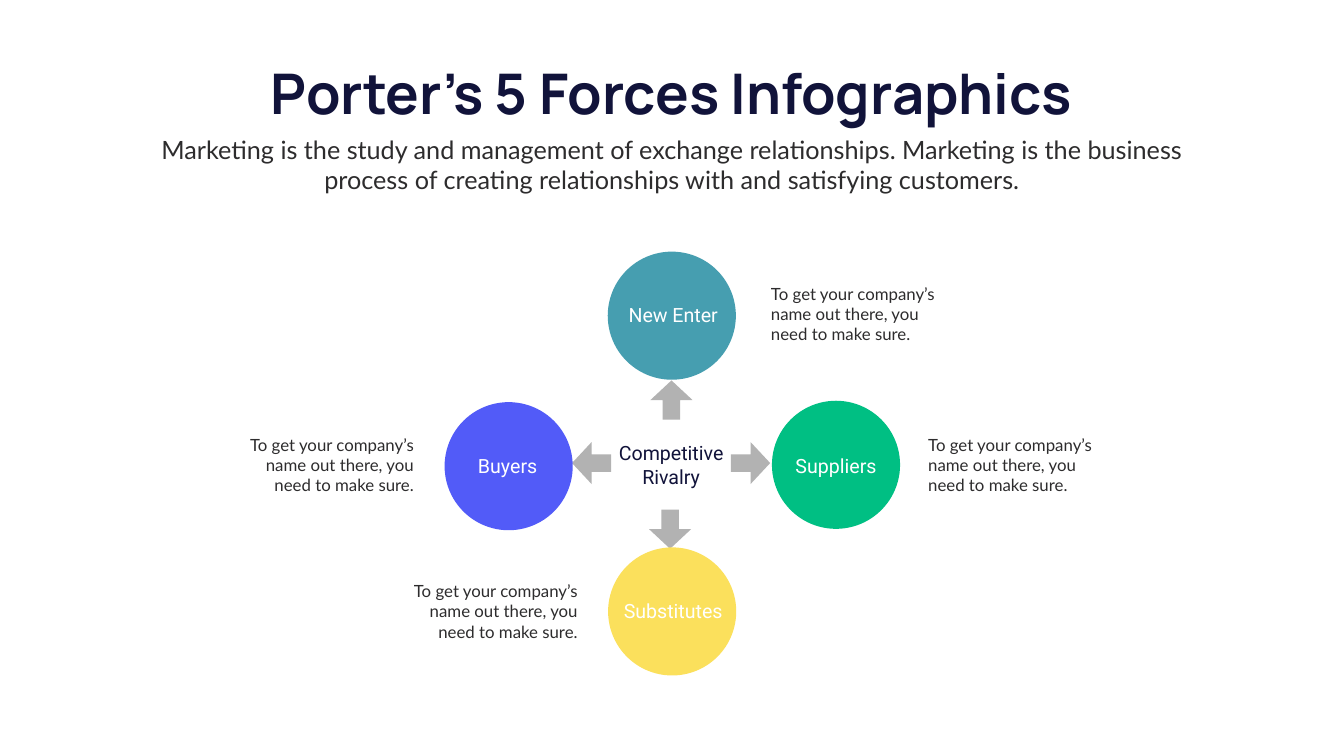
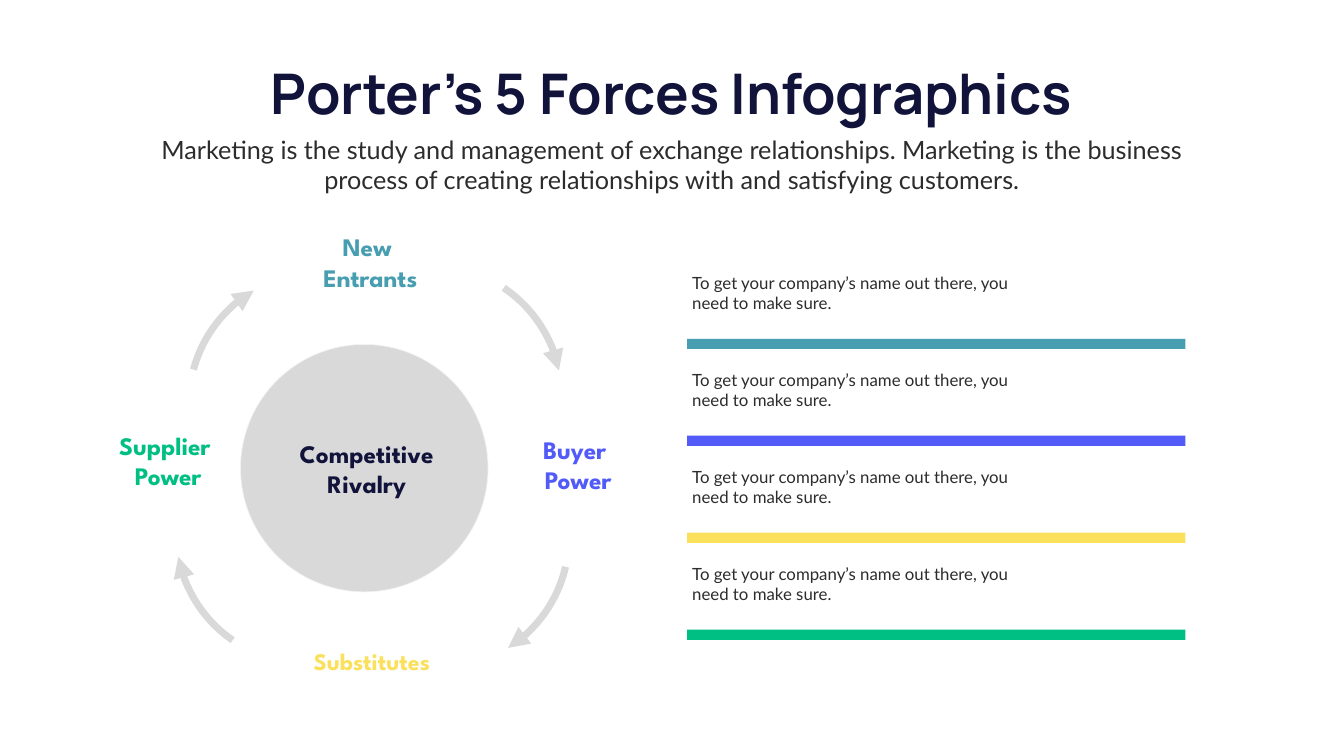
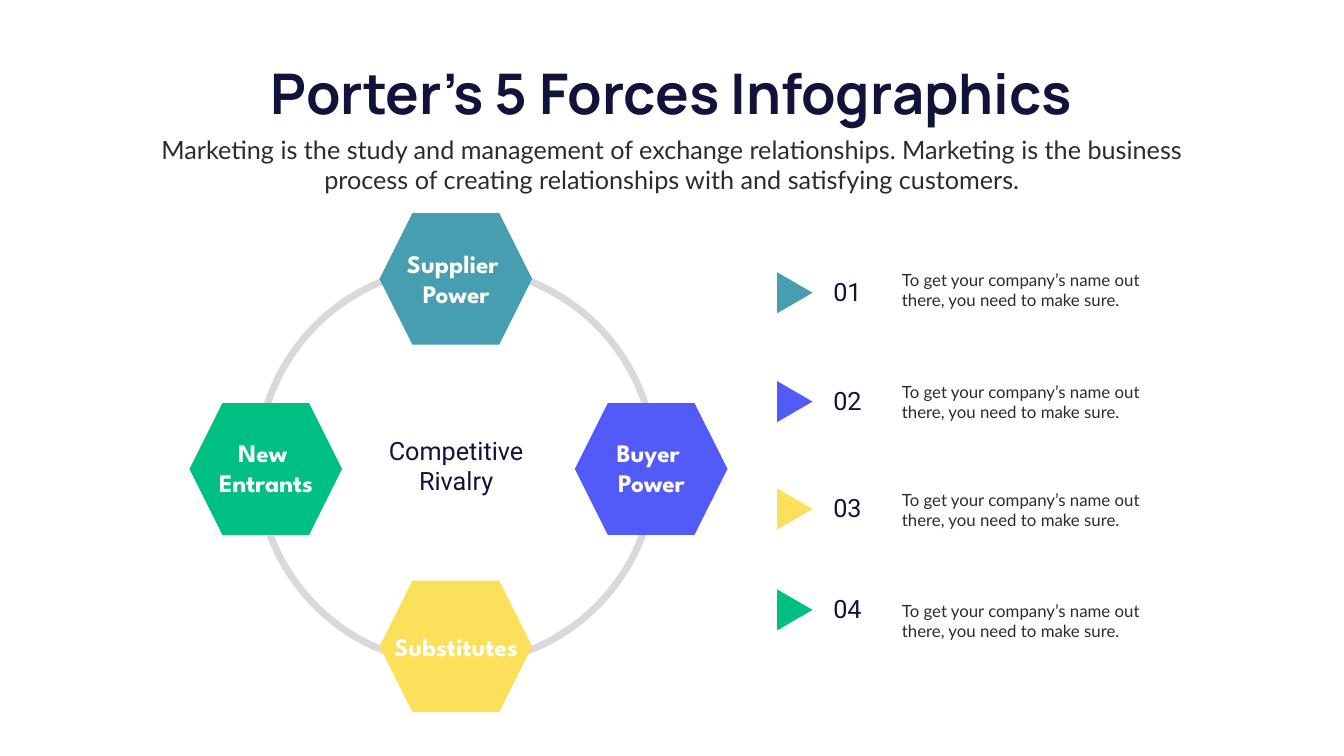
from pptx import Presentation
from pptx.dml.color import RGBColor
from pptx.enum import shapes, text
from pptx.oxml import ns, parse_xml
from pptx.util import Pt

NAVY = RGBColor(0x11, 0x13, 0x3A)
INK = RGBColor(0x2D, 0x2C, 0x2D)
WHITE = RGBColor(0xFF, 0xFF, 0xFF)
TEAL = RGBColor(0x46, 0x9E, 0xB0)
BLUE = RGBColor(0x52, 0x5B, 0xF8)
YELLOW = RGBColor(0xFB, 0xE0, 0x5C)
GREEN = RGBColor(0x00, 0xBF, 0x83)
GREY = RGBColor(0xB2, 0xB2, 0xB2)
SILVER = RGBColor(0xD9, 0xD9, 0xD9)
PALE = RGBColor(0xF2, 0xF2, 0xF2)
HUES = [TEAL, BLUE, YELLOW, GREEN]

LATO, SPARTAN, ROBOTO = "Lato", "League Spartan", "Roboto"
KIND = shapes.MSO_SHAPE
LEFT, MID, RIGHT = text.PP_ALIGN.LEFT, text.PP_ALIGN.CENTER, text.PP_ALIGN.RIGHT
TITLE = "Porter's 5 Forces Infographics"
INTRO = ("Marketing is the study and management of exchange relationships. "
         "Marketing is the business process of creating relationships with "
         "and satisfying customers.")
NOTE = "To get your company’s name out there, you need to make sure."


def write(slide, words, box, font, size, hue, align=MID, bold=False, wrap=True):
    frame = slide.shapes.add_textbox(*map(Pt, box)).text_frame
    frame.word_wrap = wrap
    frame.auto_size = text.MSO_AUTO_SIZE.SHAPE_TO_FIT_TEXT
    frame.text = words
    for para in frame.paragraphs:
        para.alignment = align
        for run in para.runs:
            run.font.name = font
            run.font.size = Pt(size)
            run.font.bold = bold
            run.font.color.rgb = hue


def draw(slide, kind, box, fill=None, line=None, width=1):
    shape = slide.shapes.add_shape(kind, *map(Pt, box))
    shape.shadow.inherit = False
    if fill is None:
        shape.fill.background()
    else:
        shape.fill.solid()
        shape.fill.fore_color.rgb = fill
    if line is None:
        shape.line.fill.background()
    else:
        shape.line.color.rgb = line
        shape.line.width = Pt(width)
    return shape


deck = Presentation()
deck.slide_width, deck.slide_height = Pt(1919.5), Pt(1080)

# Shared heading on every slide
slides = []
for _ in range(3):
    slide = deck.slides.add_slide(deck.slide_layouts[6])
    write(slide, TITLE, (340, 80.5, 1239, 104.5), "Manrope", 80, NAVY,
          bold=True, wrap=False)
    write(slide, INTRO, (210, 188, 1499, 94), LATO, 36, INK)
    slides.append(slide)
cross, cycle, ring = slides

# Slide 1: arrows from the centre, each given by its tip and direction
outline = [(0, 0), (28, 30), (28, 12.5), (56, 12.5),
           (56, -12.5), (28, -12.5), (28, -30)]
for x, y, dx, dy in [(817, 661.5, -1, 0), (957, 784, 0, 1),
                     (959, 543.5, 0, -1), (1100, 661.5, 1, 0)]:
    dots = [(Pt(x - dx * a + dy * b), Pt(y - dy * a + dx * b))
            for a, b in outline]
    build = cross.shapes.build_freeform(*dots[0])
    build.add_line_segments(dots[1:], close=True)
    arrow = build.convert_to_shape()
    arrow.shadow.inherit = False
    arrow.fill.solid()
    arrow.fill.fore_color.rgb = GREY
    arrow.line.fill.background()

# Slide 1: four forces with their labels and notes
forces = [
    ("New Enter", TEAL, (868, 359.5), (844, 428.5), (1094, 402), LEFT),
    ("Suppliers", GREEN, (1102.5, 572.5), (1076.5, 645), (1318.5, 617), LEFT),
    ("Substitutes", YELLOW, (868.5, 782), (844, 852), (553.5, 826.5), RIGHT),
    ("Buyers", BLUE, (635, 574.5), (607.5, 645), (319.5, 617), RIGHT),
]
for name, hue, disc, label, note, align in forces:
    draw(cross, KIND.OVAL, (*disc, 183, 183), hue)
    write(cross, name, (*label, 235, 41), ROBOTO, 28, WHITE)
    write(cross, NOTE, (*note, 278.5, 94), LATO, 24, INK, align)
write(cross, "Competitive Rivalry", (841, 627, 235, 75), ROBOTO, 28, NAVY)

# Slide 2: hub and its labels
draw(cycle, KIND.OVAL, (343.5, 492, 353.5, 353.5), SILVER, PALE)
for name, box, size, hue in [
    ("New \nEntrants", (420, 327.5, 218, 94), 36, TEAL),
    ("Buyer \nPower", (742.5, 617, 166.5, 94), 36, BLUE),
    ("Substitutes", (422, 921, 218, 50.5), 34, YELLOW),
    ("Supplier \nPower", (159, 610.5, 162.5, 94), 36, GREEN),
    ("Competitive\nRivalry", (395.5, 623, 256.5, 94), 36, NAVY),
]:
    write(cycle, name, box, SPARTAN, size, hue, bold=True)

# Slide 2: curved arrows around the hub
for x, y, turn in [(428.5, 379.5, 33.9), (439, 581, 103),
                   (251.5, 574, 214.6), (270, 389.5, 285)]:
    arc = draw(cycle, KIND.ARC, (x, y, 373.5, 373.5), None, SILVER, 10)
    arc.adjustments[0] = 162
    arc.adjustments[1] = 188.82
    arc.rotation = turn
    arc.element.spPr.find(ns.qn("a:ln")).append(
        parse_xml(f'<a:tailEnd {ns.nsdecls("a")} type="triangle"/>'))

# Slide 2: notes, each above a bar
for row, hue in enumerate(HUES):
    top = 386.5 + 138.5 * row
    write(cycle, NOTE, (981.5, top, 518.5, 65.5), LATO, 24, INK, LEFT)
    draw(cycle, KIND.RECTANGLE, (981.5, top + 97.5, 711.5, 14.5), hue)

# Slide 3: ring with four hexagons
draw(ring, KIND.OVAL, (368, 381.5, 567.5, 567.5), None, SILVER, 10)
for name, hue, x, y, drop in [
    ("Supplier \nPower", TEAL, 542, 304.5, 47),
    ("Substitutes", YELLOW, 542, 829.5, 68.5),
    ("New \nEntrants", GREEN, 270.5, 576, 44.5),
    ("Buyer \nPower", BLUE, 821, 576, 44.5),
]:
    draw(ring, KIND.HEXAGON, (x, y, 218, 188), hue)
    write(ring, name, (x - 14, y + drop, 247, 94), SPARTAN, 36, WHITE,
          bold=True)
write(ring, "Competitive Rivalry", (534, 618, 235, 94), ROBOTO, 36, NAVY)

# Slide 3: numbered notes
rows = zip(HUES, [393, 548.5, 702, 846], [381.5, 541.5, 695.5, 854])
for num, (hue, mark, note) in enumerate(rows, 1):
    draw(ring, KIND.ISOSCELES_TRIANGLE, (1106, mark, 58.5, 50.5),
         hue).rotation = 90
    write(ring, f"{num:02}", (1183, mark - 2, 98, 51), ROBOTO, 36, NAVY, LEFT)
    write(ring, NOTE, (1281, note, 355.5, 65.5), LATO, 24, INK, LEFT)

deck.save("out.pptx")
